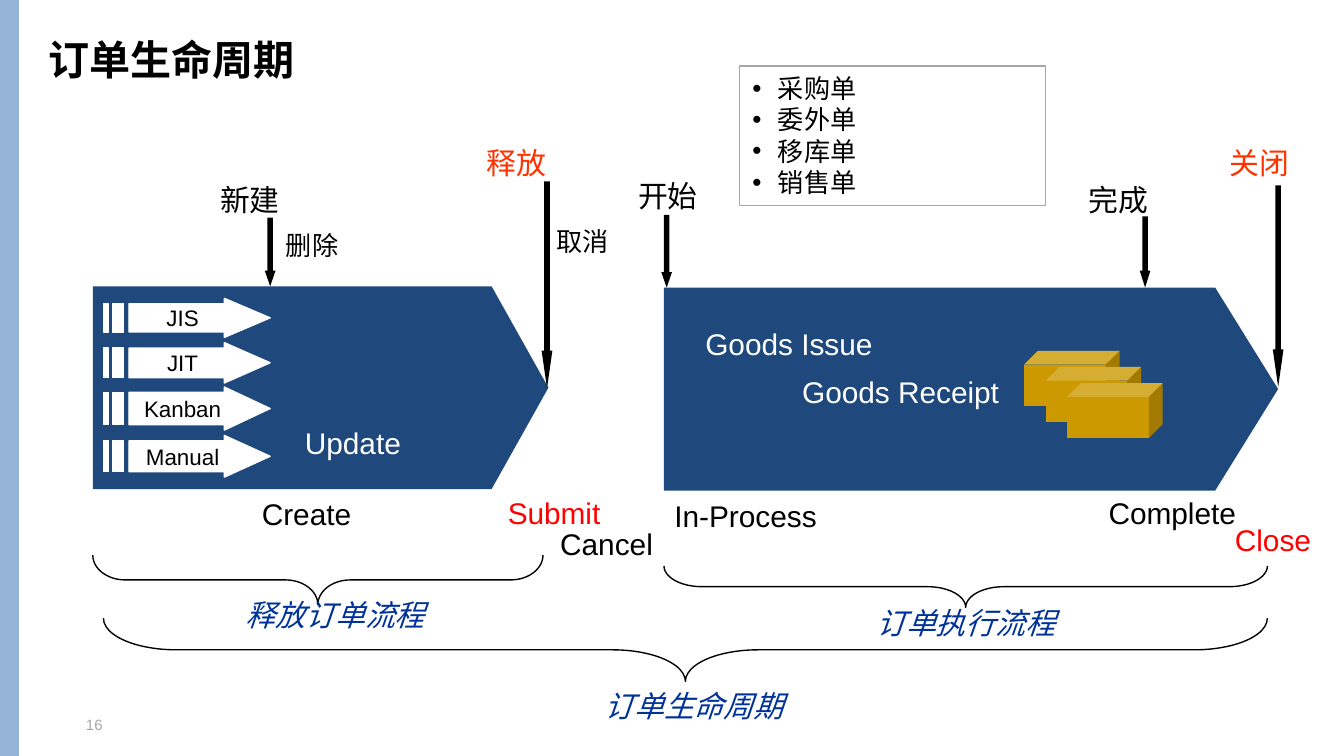
from lxml import etree
from pptx import Presentation
from pptx import util as u
from pptx.dml.color import RGBColor
from pptx.enum import shapes, text
from pptx.oxml.ns import qn

COLORS = {
    "black": "000000", "white": "FFFFFF", "navy": "1F497D", "sidebar": "95B3D7",
    "orange": "FF3300", "red": "FF0000", "blue": "003399", "gold": "CC9900",
    "gray": "A6A6A6",
}
KIND = shapes.MSO_SHAPE
ALIGN = text.PP_ALIGN
WIDTH = 10
HEIGHT = WIDTH * 9 / 16


def color(name):
    return RGBColor.from_string(COLORS[name])


def format_text(frame, lines, size=16, fill="black", bold=False, italic=False,
                align=ALIGN.LEFT, wrap=True, insets=(0.1, 0, 0.1, 0),
                anchor=text.MSO_ANCHOR.TOP, bullet=None):
    frame.word_wrap = wrap
    frame.auto_size = text.MSO_AUTO_SIZE.NONE
    frame.vertical_anchor = anchor
    (frame.margin_left, frame.margin_top,
     frame.margin_right, frame.margin_bottom) = map(u.Inches, insets)
    for i, line in enumerate(lines):
        paragraph = frame.add_paragraph() if i else frame.paragraphs[0]
        paragraph.alignment = align
        if bullet:
            props = paragraph._p.get_or_add_pPr()
            props.set("marL", str(u.Inches(0.19)))
            props.set("indent", str(u.Inches(-0.19)))
            etree.SubElement(props, qn("a:buFont")).set("typeface", "Arial")
            etree.SubElement(props, qn("a:buChar")).set("char", bullet)
        run = paragraph.add_run()
        run.text = line
        font = run.font
        font.name, font.size = "Arial", u.Pt(size)
        font.bold, font.italic = bold, italic
        font.color.rgb = color(fill)


def add_label(slide, words, left, top, width=1.57, height=0.27, **style):
    label = slide.shapes.add_textbox(*map(u.Inches, (left, top, width, height)))
    format_text(label.text_frame, [words], **style)


def paint(part, fill=None, line=None):
    part.shadow.inherit = False
    if fill:
        part.fill.solid()
        part.fill.fore_color.rgb = color(fill)
    else:
        part.fill.background()
    if line:
        part.line.color.rgb = color(line)
        part.line.width = u.Pt(0.75)
    else:
        part.line.fill.background()


def add_part(slide, kind, box, fill=None, line=None, adjust=()):
    part = slide.shapes.add_shape(kind, *map(u.Inches, box))
    paint(part, fill, line)
    for i, value in enumerate(adjust):
        part.adjustments[i] = value
    return part


def add_event_arrow(slide, center, top, height, head):
    arrow = add_part(slide, KIND.RIGHT_ARROW,
                     (center - height / 2, top + height / 2 - 0.04, height, 0.08),
                     "black", adjust=(0.52, head))
    arrow.rotation = 90


def add_brace(slide, left, top, width, height, curve):
    box = (left + (width - height) / 2, top + (height - width) / 2, height, width)
    brace = add_part(slide, KIND.LEFT_BRACE, box, line="black", adjust=(curve, 0.5))
    brace.rotation = 270


def add_source_arrow(slide, name, left, top, height):
    low, high = 0.04, height - 0.04
    arrow = [(0.9, 0), (0.9, low), (0.19, low), (0.19, high),
             (0.9, high), (0.9, height), (1.24, height / 2)]
    bars = [[(a, low), (a, high), (b, high), (b, low)]
            for a, b in ((0.07, 0.15), (0, 0.04))]
    contours = [[(u.Inches(left + x), u.Inches(top + y)) for x, y in contour]
                for contour in (arrow, *bars)]
    builder = slide.shapes.build_freeform(*contours[0][0])
    builder.add_line_segments(contours[0][1:], close=True)
    for contour in contours[1:]:
        builder.move_to(*contour[0])
        builder.add_line_segments(contour[1:], close=True)
    source = builder.convert_to_shape()
    paint(source, "white", "white")
    format_text(source.text_frame, [name], size=12, align=ALIGN.CENTER, wrap=False,
                insets=(0.1, 0, 0.16, 0), anchor=text.MSO_ANCHOR.MIDDLE)


def add_release_phase(slide, left, top, width, height):
    add_part(slide, KIND.PENTAGON, (left, top, width, height), "navy", adjust=(0.28,))
    for name, offset, tall in (("JIS", 0.09, 0.29), ("JIT", 0.42, 0.3),
                               ("Kanban", 0.75, 0.32), ("Manual", 1.11, 0.31)):
        add_source_arrow(slide, name, left + 0.08, top + offset, tall)
    add_label(slide, "Update", left + 1.48, top + 1.03, 1.81, fill="white")

    add_label(slide, "新建", left + 0.85, top - 0.78, 1.73)
    add_label(slide, "删除", left + 1.34, top - 0.42, height=0.24, size=14)
    add_event_arrow(slide, left + 1.32, top - 0.51, 0.51, 1.44)
    add_label(slide, "释放", left + 2.83, top - 1.05, 1.81, fill="orange")
    add_label(slide, "取消", left + 3.35, top - 0.45, height=0.24, size=14)
    add_event_arrow(slide, left + 3.38, top - 0.78, 1.54, 3.51)

    add_label(slide, "Create", left + 1.16, top + 1.56, 1.26)
    add_label(slide, "Submit", left + 2.99, top + 1.55, 1.26, fill="red")
    add_label(slide, "Cancel", left + 3.38, top + 1.78)
    add_brace(slide, left, top + 2, 3.35, 0.37, 0.65)
    add_label(slide, "释放订单流程", left + 1.03, top + 2.31, 1.55, fill="blue",
              italic=True, align=ALIGN.CENTER, wrap=False)


def add_execution_phase(slide, left, top, width, height):
    add_part(slide, KIND.PENTAGON, (left, top, width, height), "navy", adjust=(0.31,))
    add_label(slide, "Goods Issue", left + 0.21, top + 0.28, 1.81, fill="white")
    add_label(slide, "Goods Receipt", left + 0.93, top + 0.64, 1.81, fill="white")
    for i in range(3):
        add_part(slide, KIND.CUBE,
                 (left + 2.68 + 0.16 * i, top + 0.47 + 0.12 * i, 0.71, 0.41),
                 "gold", adjust=(0.25,))

    add_label(slide, "开始", left - 0.29, top - 0.82, 0.91)
    add_event_arrow(slide, left + 0.02, top - 0.54, 0.54, 1.44)
    add_label(slide, "完成", left + 3.06, top - 0.79, 1.34)
    add_event_arrow(slide, left + 3.58, top - 0.53, 0.53, 1.58)
    add_label(slide, "关闭", left + 4.11, top - 1.06, 0.95, fill="orange")
    add_event_arrow(slide, left + width, top - 0.76, 1.5, 3.51)

    add_label(slide, "In-Process", left - 0.02, top + 1.56)
    add_label(slide, "Complete", left + 3.21, top + 1.54, 1.42)
    add_label(slide, "Close", left + 4.15, top + 1.74, 0.79, fill="red")
    add_brace(slide, left, top + 2.07, 4.49, 0.31, 0.91)
    add_label(slide, "订单执行流程", left + 1.47, top + 2.36, 1.55, fill="blue",
              italic=True, align=ALIGN.CENTER, wrap=False)


def add_life_cycle(slide, left, top, width, height):
    add_brace(slide, left, top, width, height, 1.15)
    add_label(slide, "订单生命周期", left + 3.63, top + 0.52, 1.55, fill="blue",
              italic=True, wrap=False)


def add_order_types(slide, *box):
    order_types = add_part(slide, KIND.RECTANGLE, box, "white", "gray")
    format_text(order_types.text_frame, ["采购单", "委外单", "移库单", "销售单"],
                size=14, insets=(0.1, 0.05, 0.1, 0.05), bullet="•")


def add_frame(slide, width, height):
    add_part(slide, KIND.RECTANGLE, (-0.01, 0, 0.15, height), "sidebar")
    title = slide.shapes.title
    title.left, title.top = u.Inches(0.36), u.Inches(0.26)
    title.width, title.height = u.Inches(width - 0.75), u.Inches(0.37)
    format_text(title.text_frame, ["订单生命周期"], size=22, bold=True,
                insets=(0, 0, 0, 0))
    add_label(slide, "16", 0.64, height - 0.3, 0.2, 0.13, size=8, fill="gray",
              insets=(0, 0, 0, 0))


def main():
    deck = Presentation()
    deck.slide_width, deck.slide_height = u.Inches(WIDTH), u.Inches(HEIGHT)
    slide = deck.slides.add_slide(deck.slide_layouts[5])
    add_frame(slide, WIDTH, HEIGHT)
    add_release_phase(slide, 0.69, 2.13, 3.39, 1.51)
    add_execution_phase(slide, 4.94, 2.14, 4.57, 1.51)
    add_life_cycle(slide, 0.77, 4.6, 8.66, 0.47)
    add_order_types(slide, 5.5, 0.49, 2.28, 1.04)
    deck.save("out.pptx")


if __name__ == "__main__":
    main()
